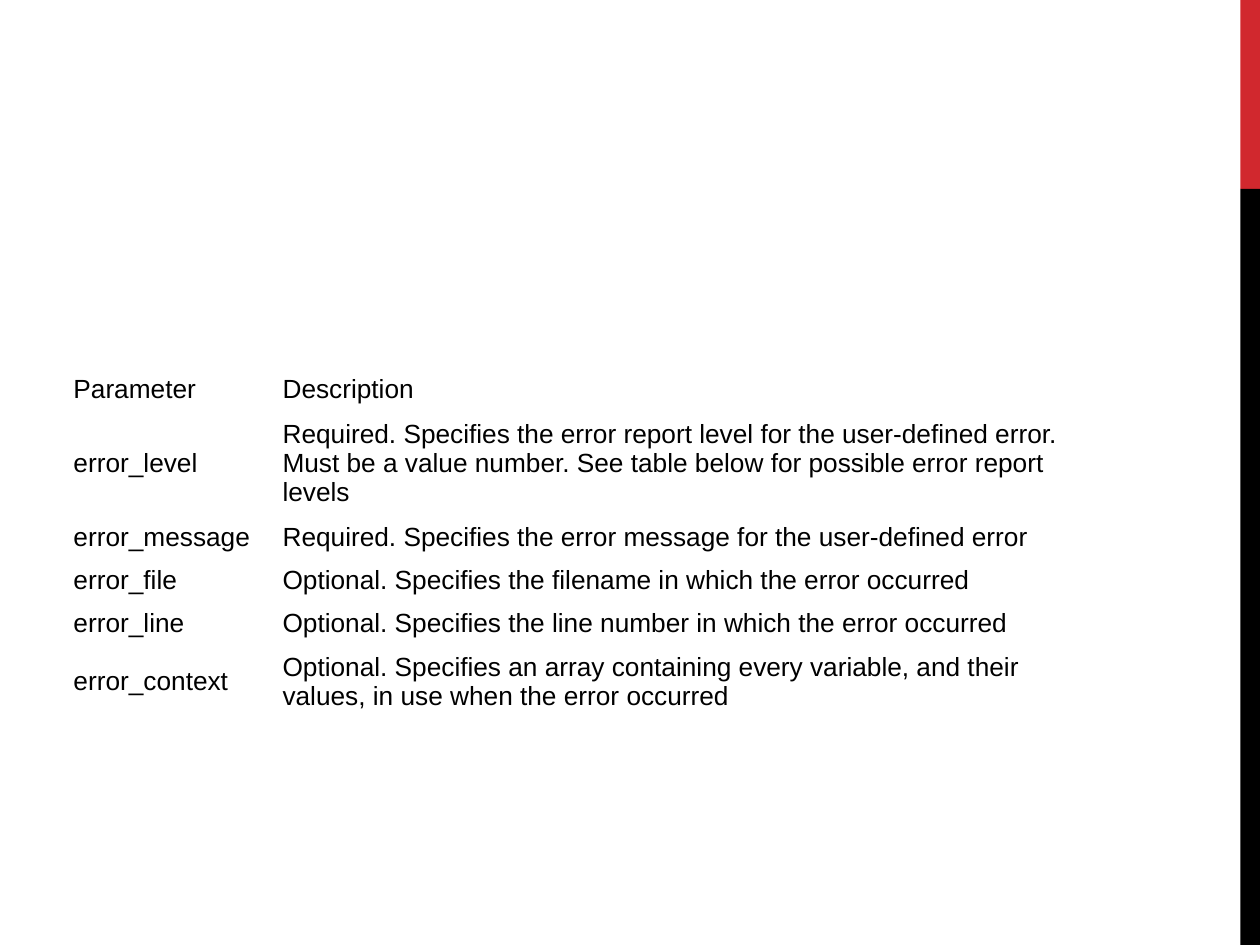
from pptx import Presentation
from pptx.dml.color import RGBColor
from pptx.enum.shapes import MSO_SHAPE
from pptx.enum.text import MSO_ANCHOR, PP_ALIGN
from pptx.util import Pt

COLORS = {"accent": "D1282E", "black": "000000", "white": "FFFFFF"}

ROWS = [
    ("Parameter", "Description"),
    ("error_level", "Required. Specifies the error report level for the user-defined error. "
                    "Must be a value number. See table below for possible error report levels"),
    ("error_message", "Required. Specifies the error message for the user-defined error"),
    ("error_file", "Optional. Specifies the filename in which the error occurred"),
    ("error_line", "Optional. Specifies the line number in which the error occurred"),
    ("error_context", "Optional. Specifies an array containing every variable, "
                      "and their values, in use when the error occurred"),
]
COL_WIDTHS = [119.5, 480.5]
ROW_HEIGHTS = [24.5, 60.5, 24.5, 24.5, 24.5, 42]


def rgb(name):
    return RGBColor.from_string(COLORS[name])


class SlideBuilder:
    font = {"name": "Arial", "size": Pt(15), "bold": False}
    cell = {"vertical_anchor": MSO_ANCHOR.MIDDLE,
            "margin_left": Pt(6), "margin_right": Pt(6),
            "margin_top": Pt(3.6), "margin_bottom": Pt(3.6)}

    def __init__(self, prs):
        self.s = prs.slides.add_slide(prs.slide_layouts[6])
        fill = self.s.background.fill
        fill.solid()
        fill.fore_color.rgb = rgb("white")

    def bar(self, left, top, width, height, color):
        sp = self.s.shapes.add_shape(MSO_SHAPE.RECTANGLE, Pt(left), Pt(top), Pt(width), Pt(height))
        sp.shadow.inherit = False
        sp.fill.solid()
        sp.fill.fore_color.rgb = rgb(color)
        sp.line.fill.background()

    def table(self, left, top, rows, widths, heights):
        frame = self.s.shapes.add_table(len(rows), len(widths), Pt(left), Pt(top),
                                        Pt(sum(widths)), Pt(sum(heights)))
        table = frame.table
        table.first_row = table.horz_banding = False
        for column, width in zip(table.columns, widths):
            column.width = Pt(width)
        for row, height, texts in zip(table.rows, heights, rows):
            row.height = Pt(height)
            for cell, text in zip(row.cells, texts):
                self.fill_cell(cell, text)

    def fill_cell(self, cell, text):
        cell.fill.background()
        for name, value in self.cell.items():
            setattr(cell, name, value)
        p = cell.text_frame.paragraphs[0]
        p.alignment = PP_ALIGN.LEFT
        r = p.add_run()
        r.text = text
        for name, value in self.font.items():
            setattr(r.font, name, value)
        r.font.color.rgb = rgb("black")


def main():
    prs = Presentation()
    prs.slide_width, prs.slide_height = Pt(720), Pt(540)
    slide = SlideBuilder(prs)
    slide.bar(708.75, 0, 11.25, 108, "accent")
    slide.bar(708.75, 108, 11.25, 432, "black")
    slide.table(36, 210, ROWS, COL_WIDTHS, ROW_HEIGHTS)
    prs.save("out.pptx")


if __name__ == "__main__":
    main()
